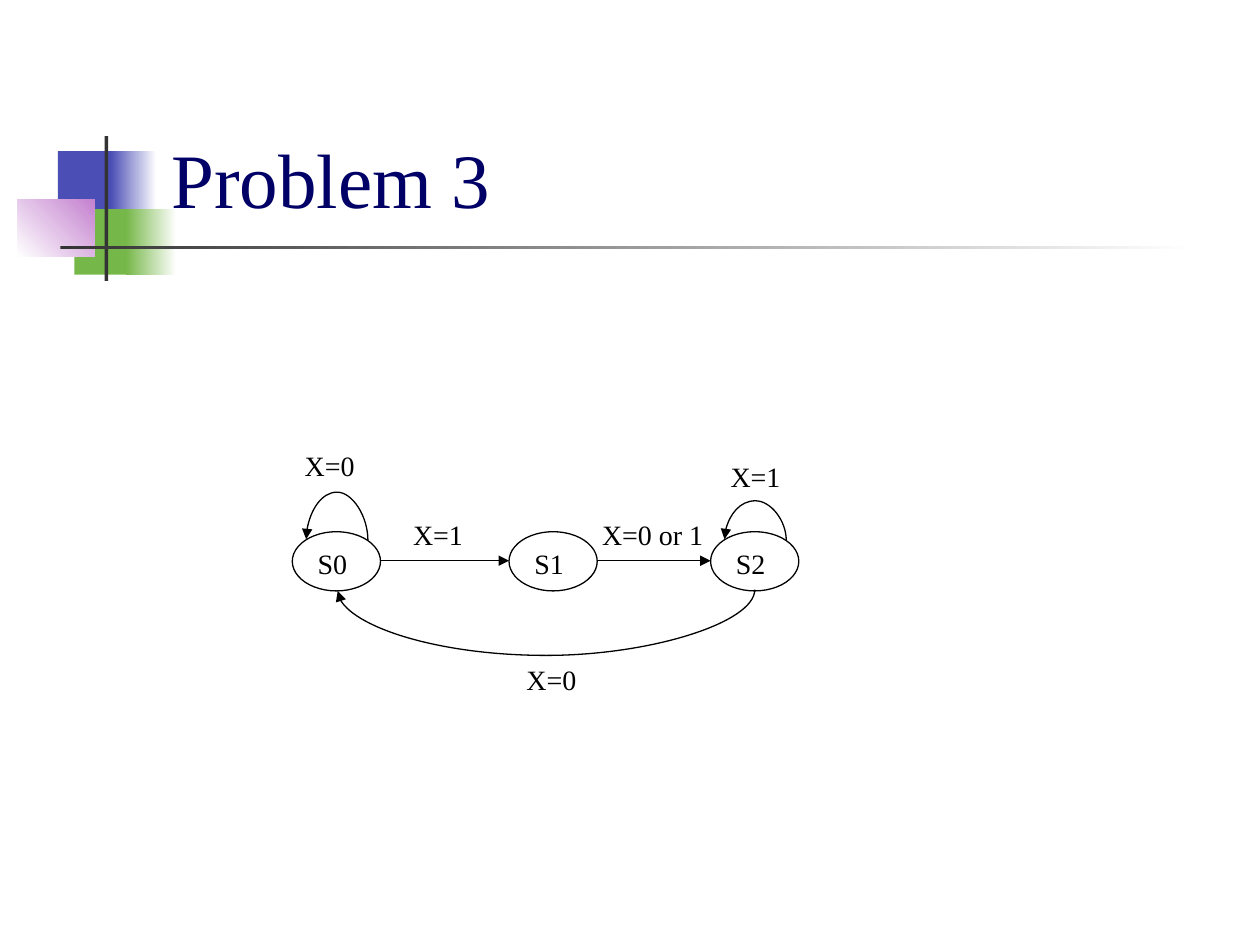
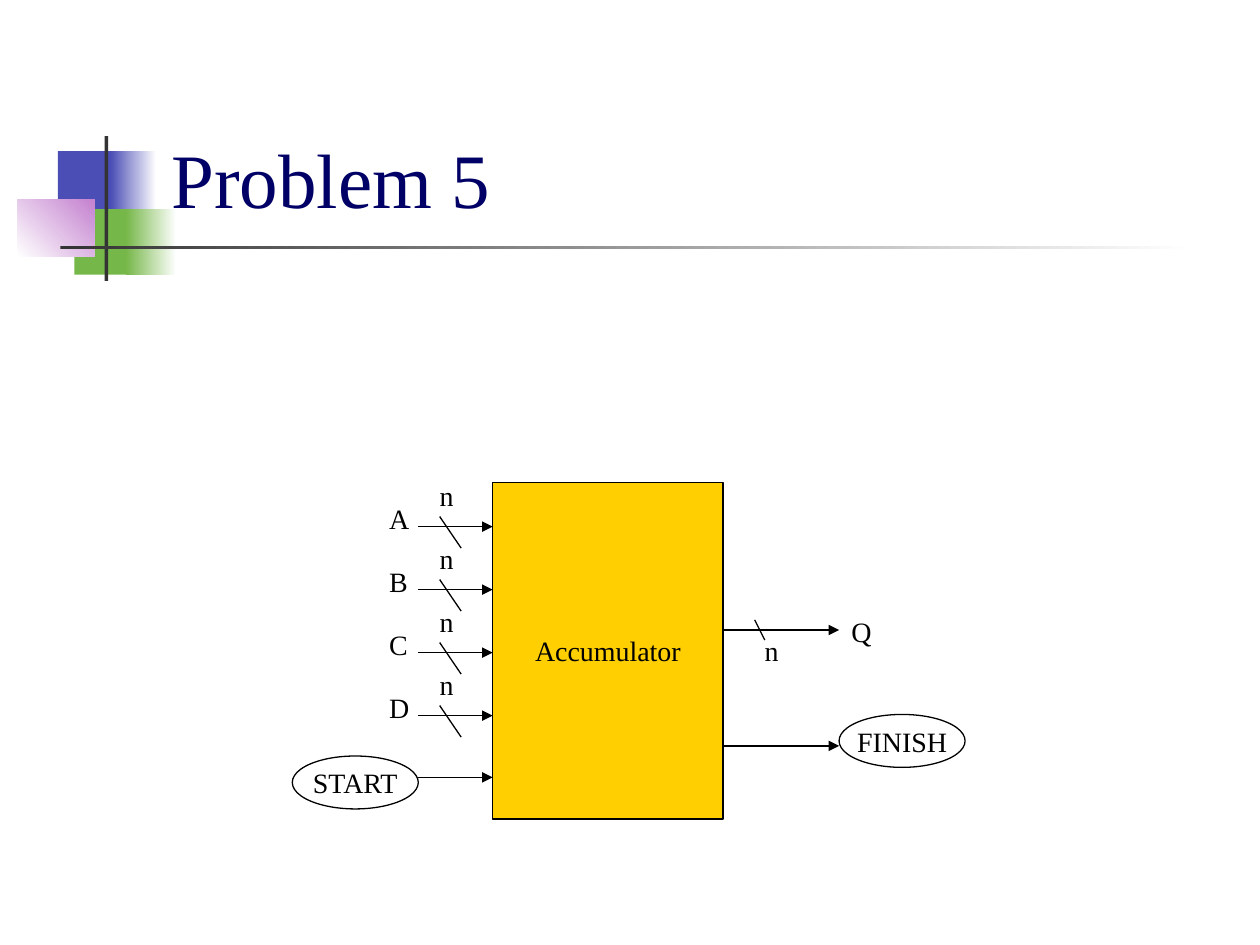
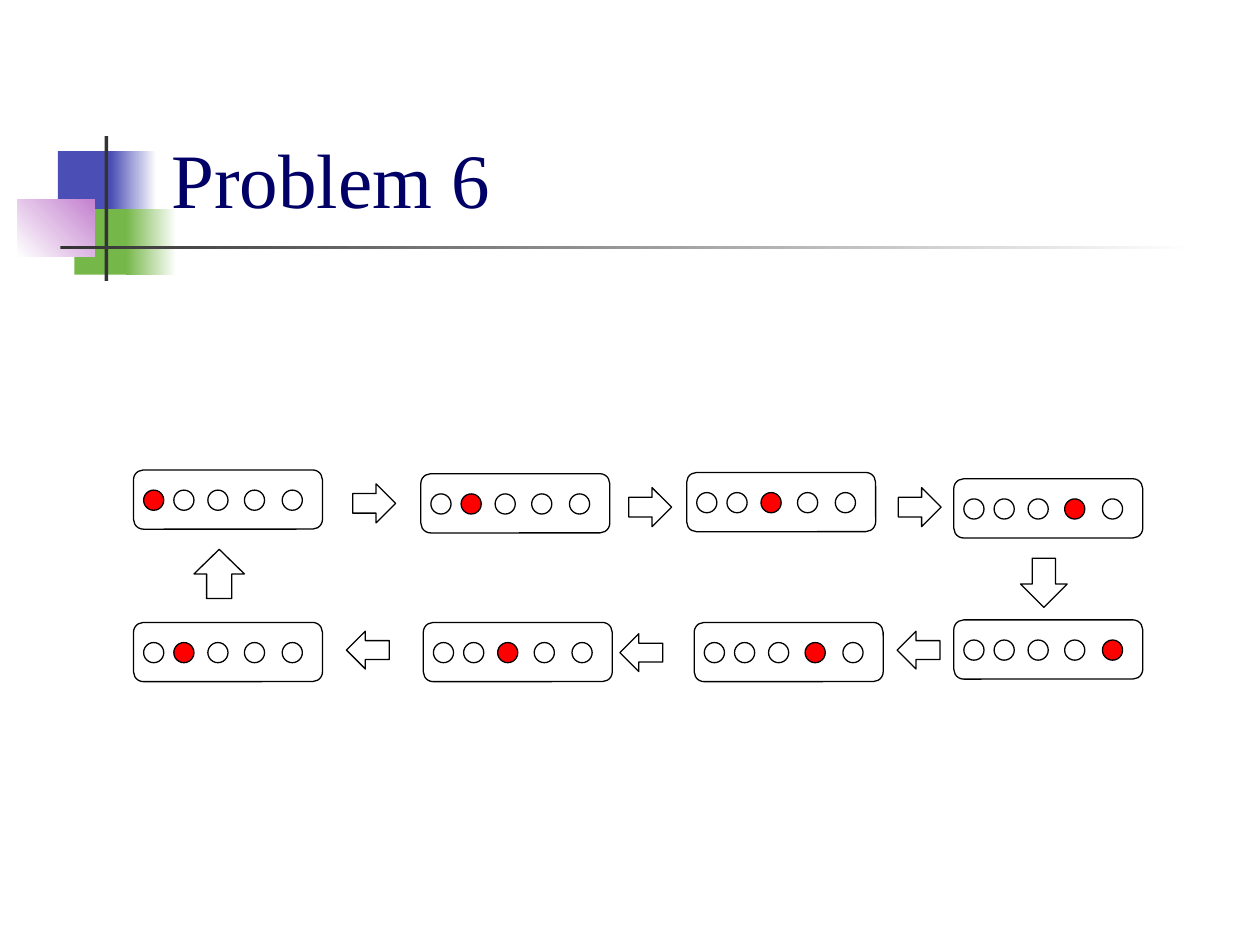
from dataclasses import dataclass
from typing import NamedTuple, Optional

from lxml import etree
from pptx import Presentation
from pptx import util as u
from pptx.dml.color import RGBColor
from pptx.enum import shapes, text
from pptx.oxml.ns import qn

COLUMNS, ROWS = 10, 7.5
FONT = "Times New Roman"
COLORS = {
    "ink": "000000",
    "title": "000066",
    "blue": "4B4EB5",
    "green": "76B749",
    "pink": "C481CF",
    "bar": "333333",
    "white": "FFFFFF",
    "block": "FFCF01",
    "lit": "FF0000",
}
SHAPE = shapes.MSO_SHAPE
ANCHOR = text.MSO_ANCHOR
ALIGN = text.PP_ALIGN

prs = Presentation()
prs.slide_width, prs.slide_height = u.Inches(10), u.Inches(7.5)
UNIT = prs.slide_width / COLUMNS  # columns and rows are equally large


class Box(NamedTuple):
    """A rectangle in grid columns and rows."""
    x: float
    y: float
    w: float
    h: float


@dataclass
class Band:
    """One piece of the title ornament; two colours make a gradient."""
    box: Box
    start: str
    end: Optional[str] = None
    angle: float = 0


@dataclass
class Label:
    """A line of text at the top left of its box."""
    x: float
    y: float
    text: str
    w: float = 0.6


@dataclass
class Panel:
    """A row of five lamps, of which one is lit."""
    x: float
    y: float
    lit: int


@dataclass
class BlockArrow:
    """A block arrow between two panels."""
    kind: SHAPE
    box: Box


BANDS = [
    Band(Box(0.46, 1.2, 0.48, 0.52), "blue"),
    Band(Box(0.88, 1.2, 0.36, 0.52), "blue", "white"),
    Band(Box(0.59, 1.66, 0.46, 0.52), "green"),
    Band(Box(1, 1.66, 0.4, 0.52), "green", "white"),
    Band(Box(0.14, 1.58, 0.61, 0.46), "white", "pink", 45),
    Band(Box(0.83, 1.08, 0.03, 1.15), "bar"),
    Band(Box(0.48, 1.95, 9, 0.03), "bar", "white"),
]


def grid(*lengths: float) -> list:
    """Turn grid units into slide lengths."""
    return [u.Emu(round(n * UNIT)) for n in lengths]


def rgb(name: str) -> RGBColor:
    """Look up a colour by name."""
    return RGBColor.from_string(COLORS[name])


def write(sp, words: str, *, size=16, color="ink", align=ALIGN.LEFT,
          anchor=ANCHOR.TOP, wrap=False) -> None:
    """Put formatted text into a shape."""
    tf = sp.text_frame
    tf.word_wrap = wrap
    tf.vertical_anchor = anchor
    p = tf.paragraphs[0]
    p.alignment = align
    r = p.add_run()
    r.text = words
    r.font.name, r.font.size = FONT, u.Pt(size)
    r.font.color.rgb = rgb(color)


def add_shape(s, kind, box: Box, fill: Optional[str] = None, outlined=True):
    """Draw a preset shape without shadow."""
    sp = s.shapes.add_shape(kind, *grid(*box))
    sp.shadow.inherit = False
    if fill:
        sp.fill.solid()
        sp.fill.fore_color.rgb = rgb(fill)
    else:
        sp.fill.background()
    if outlined:
        sp.line.color.rgb = rgb("ink")
        sp.line.width = u.Pt(0.75)
    else:
        sp.line.fill.background()
    return sp


def add_label(s, label: Label) -> None:
    """Draw a text box that fits its text."""
    sp = s.shapes.add_textbox(*grid(label.x, label.y, label.w, 0.37))
    write(sp, label.text)
    sp.text_frame.auto_size = text.MSO_AUTO_SIZE.SHAPE_TO_FIT_TEXT


def add_line(s, x1: float, y1: float, x2: float, y2: float, arrow=True,
             kind=shapes.MSO_CONNECTOR.STRAIGHT):
    """Draw a connector, with an arrowhead at its end if wanted."""
    c = s.shapes.add_connector(kind, *grid(x1, y1, x2, y2))
    c.line.color.rgb = rgb("ink")
    c.line.width = u.Pt(0.75)
    props = c._element.spPr
    if arrow:
        etree.SubElement(props.find(qn("a:ln")), qn("a:tailEnd"), type="triangle")
    etree.SubElement(props, qn("a:effectLst"))
    return c


def add_arc(s, left: float, right: float, y: float, depth: float, up=True) -> None:
    """Draw a curved arrow from right to left that swings up or down."""
    thin, half = 0.01, (right - left) / 2
    x, rise = (left + right) / 2, half if up else -half
    c = add_line(s, x - thin / 2, y + rise, x + thin / 2, y - rise,
                 kind=shapes.MSO_CONNECTOR.CURVE)
    props = c._element.spPr
    props.find(qn("a:xfrm")).set("rot", str((270 if up else 90) * 60000))
    guides = props.find(qn("a:prstGeom")).get_or_add_avLst()
    etree.SubElement(guides, qn("a:gd"), name="adj1",
                     fmla=f"val {round(depth / thin * 100000)}")


def add_slide(title: str):
    """Add a slide with the title and its ornament."""
    s = prs.slides.add_slide(prs.slide_layouts[5])
    for band in BANDS:
        sp = add_shape(s, SHAPE.RECTANGLE, band.box, band.start, outlined=False)
        if band.end:
            sp.fill.gradient()
            sp.fill.gradient_angle = band.angle
            for stop, name in zip(sp.fill.gradient_stops, (band.start, band.end)):
                stop.color.rgb = rgb(name)
    head = s.shapes.title
    head.left, head.top, head.width, head.height = grid(1.26, 0.23, 8.52, 1.6)
    write(head, title, size=44, color="title", anchor=ANCHOR.BOTTOM, wrap=True)
    s.shapes._spTree.append(head._element)  # title in front of the ornament
    return s


def state_machine() -> None:
    """Problem 3: three states and their transitions."""
    s = add_slide("Problem 3")
    width, height, top = 0.7, 0.47, 4.22
    middle = 4.45
    states = {"S0": 2.32, "S1": 4.04, "S2": 5.64}
    for name, x in states.items():
        write(add_shape(s, SHAPE.OVAL, Box(x, top, width, height)), name, wrap=True)
    lefts = list(states.values())
    for here, there in zip(lefts, lefts[1:]):
        add_line(s, here + width, middle, there, middle)
    for name, depth in (("S0", 0.39), ("S2", 0.32)):
        add_arc(s, states[name] + 0.11, states[name] + 0.6, 4.285, depth)
    add_arc(s, 2.68, 5.99, 4.685, 0.53, up=False)
    for label in (Label(2.32, 3.51, "X=0"), Label(3.18, 4.06, "X=1"),
                  Label(4.68, 4.06, "X=0 or 1", 1.01),
                  Label(4.08, 5.21, "X=0"), Label(5.7, 3.6, "X=1")):
        add_label(s, label)


def accumulator() -> None:
    """Problem 5: a block with its inputs and outputs."""
    s = add_slide("Problem 5")
    block = Box(3.91, 3.83, 1.83, 2.67)
    right = block.x + block.w
    centred = dict(align=ALIGN.CENTER, anchor=ANCHOR.MIDDLE)
    write(add_shape(s, SHAPE.RECTANGLE, block, "block"), "Accumulator", **centred)
    for i, name in enumerate("ABCD"):
        y = 4.18 + 0.5 * i
        add_line(s, 3.32, y, block.x, y)
        add_line(s, 3.49, y - 0.08, 3.66, y + 0.17, arrow=False)
        add_label(s, Label(3.39, y - 0.43, "n", 0.31))
        add_label(s, Label(2.99, y - 0.25, name, 0.36))
    add_line(s, 3.32, 6.17, block.x, 6.17)
    for y in (5, 5.92):
        add_line(s, right, y, 6.66, y)
    add_line(s, 5.99, 4.92, 6.07, 5.08, arrow=False)
    add_label(s, Label(5.97, 4.98, "n", 0.31))
    add_label(s, Label(6.66, 4.83, "Q", 0.36))
    for name, x, y in (("START", 2.32, 6), ("FINISH", 6.66, 5.67)):
        write(add_shape(s, SHAPE.OVAL, Box(x, y, 1, 0.42)), name, **centred)


def running_light() -> None:
    """Problem 6: a lit lamp that runs to and fro."""
    s = add_slide("Problem 6")
    lamps = (0.08, 0.32, 0.59, 0.88, 1.18)
    panels = [
        Panel(1.06, 3.73, 0), Panel(3.34, 3.76, 1),
        Panel(5.45, 3.75, 2), Panel(7.57, 3.8, 3),
        Panel(7.57, 4.92, 4), Panel(5.51, 4.94, 3),
        Panel(3.36, 4.94, 2), Panel(1.06, 4.94, 1),
    ]
    arrows = [
        BlockArrow(SHAPE.RIGHT_ARROW, Box(2.8, 3.84, 0.34, 0.31)),
        BlockArrow(SHAPE.RIGHT_ARROW, Box(4.99, 3.87, 0.34, 0.31)),
        BlockArrow(SHAPE.RIGHT_ARROW, Box(7.13, 3.87, 0.34, 0.31)),
        BlockArrow(SHAPE.DOWN_ARROW, Box(8.1, 4.43, 0.37, 0.39)),
        BlockArrow(SHAPE.LEFT_ARROW, Box(7.12, 5.01, 0.34, 0.3)),
        BlockArrow(SHAPE.LEFT_ARROW, Box(4.92, 5.03, 0.34, 0.3)),
        BlockArrow(SHAPE.LEFT_ARROW, Box(2.75, 5.01, 0.34, 0.3)),
        BlockArrow(SHAPE.UP_ARROW, Box(1.54, 4.36, 0.4, 0.39)),
    ]
    for panel in panels:
        for i, dx in enumerate(lamps):
            add_shape(s, SHAPE.OVAL, Box(panel.x + dx, panel.y + 0.16, 0.16, 0.16),
                      "lit" if i == panel.lit else None)
        add_shape(s, SHAPE.ROUNDED_RECTANGLE, Box(panel.x, panel.y, 1.5, 0.47))
    for arrow in arrows:
        add_shape(s, arrow.kind, arrow.box)


state_machine()
accumulator()
running_light()
prs.save("out.pptx")
